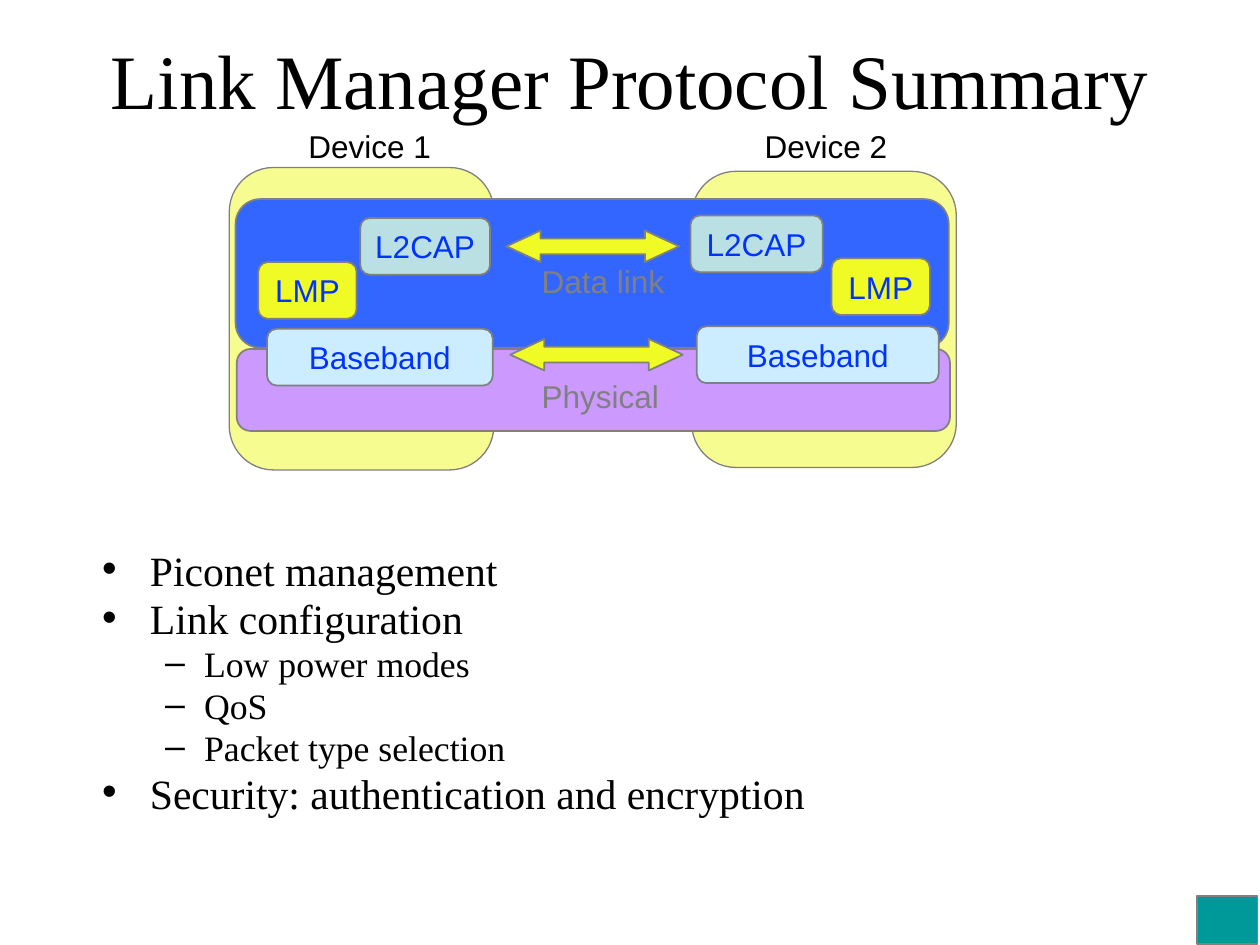
import pptx
import pptx.util
import pptx.dml.color
import pptx.enum.shapes
import pptx.enum.text
import pptx.oxml.ns
import lxml.etree

# Content; every box is left, top, width, height in grid cells
COLUMNS, ROWS = 100, 75
TITLE = "Link Manager Protocol Summary"
TITLE_BOX = (5, 0, 90, 12.5)
BODY_BOX = (7.1, 43.4, 83.1, 21.1)
BULLETS = [
    (0, "Piconet management"),
    (0, "Link configuration"),
    (1, "Low power modes"),
    (1, "QoS"),
    (1, "Packet type selection"),
    (0, "Security: authentication and encryption"),
]
# Per level: bullet, size, space before, left margin, hanging indent
LEVELS = [("•", 23.8, 7, 3.8, 3.8), ("–", 20.4, 6, 8.1, 3.1)]

YELLOW, GREY, BLUE, BLACK = "F0FA24", "808080", "0033FF", "000000"
DEVICES = [(54.9, 13.6, 21, 23.5), (18.2, 13.3, 21, 24)]
LAYERS = [("CC99FF", (18.8, 27.7, 56.6, 6.5)),
          ("3366FF", (18.7, 15.8, 56.6, 11.8))]
BLOCK_HEIGHT = 4.5
BLOCKS = [  # text, fill, left, top, width
    ("Baseband", "CCECFF", 21.2, 26.1, 17.9),
    ("Baseband", "CCECFF", 55.3, 25.9, 19.2),
    ("L2CAP", "BBE0E3", 54.8, 17.1, 10.5),
    ("L2CAP", "BBE0E3", 28.6, 17.3, 10.3),
    ("LMP", YELLOW, 66, 20.5, 7.8),
    ("LMP", YELLOW, 20.5, 20.8, 7.8),
]
ARROWS = [(40.5, 26.9, 13.7, 2.5), (40.2, 18.3, 13.7, 2.5)]
LABELS = [
    ("Physical", GREY, (42, 29.4, 11.3, 4)),
    ("Data link", GREY, (42, 20.3, 11.7, 4)),
    ("Device 2", BLACK, (59.7, 9.6, 11.7, 4)),
    ("Device 1", BLACK, (23.5, 9.6, 11.7, 4)),
]
CORNER_BOX = (95, 71.1, 4.8, 3.8)

SHAPES = pptx.enum.shapes.MSO_SHAPE
ALIGN = pptx.enum.text.PP_ALIGN
ANCHOR = pptx.enum.text.MSO_ANCHOR

presentation = pptx.Presentation()
presentation.slide_width = pptx.util.Inches(10)
presentation.slide_height = pptx.util.Inches(7.5)
CELL_WIDTH = presentation.slide_width / COLUMNS
CELL_HEIGHT = presentation.slide_height / ROWS


def color(value):
    return pptx.dml.color.RGBColor.from_string(value)


def place(box):
    left, top, width, height = box
    return [round(left * CELL_WIDTH), round(top * CELL_HEIGHT),
            round(width * CELL_WIDTH), round(height * CELL_HEIGHT)]


def move(shape, box):
    shape.left, shape.top, shape.width, shape.height = place(box)


def write(paragraph, text, size=18, font="Arial", ink=BLACK, align=ALIGN.LEFT):
    paragraph.text = text
    paragraph.alignment = align
    paragraph.font.size = pptx.util.Pt(size)
    paragraph.font.name = font
    paragraph.font.color.rgb = color(ink)


def add_shape(slide, kind, box, fill, line_width=1, adjustments=(), opacity=None):
    shape = slide.shapes.add_shape(kind, *place(box))
    shape.shadow.inherit = False
    for index, value in enumerate(adjustments):
        shape.adjustments[index] = value
    shape.fill.solid()
    shape.fill.fore_color.rgb = color(fill)
    shape.line.color.rgb = color(GREY)
    shape.line.width = pptx.util.Pt(line_width)
    if opacity is not None:
        solid = shape.fill._xPr.find(pptx.oxml.ns.qn("a:solidFill"))
        alpha = lxml.etree.SubElement(solid[0], pptx.oxml.ns.qn("a:alpha"))
        alpha.set("val", str(opacity * 1000))
    return shape


def add_rounded(slide, box, fill, **options):
    return add_shape(slide, SHAPES.ROUNDED_RECTANGLE, box, fill,
                     adjustments=(0.167,), **options)


def set_bullet(paragraph, character, margin, hanging):
    properties = paragraph._p.get_or_add_pPr()
    properties.set("marL", str(round(margin * CELL_WIDTH)))
    properties.set("indent", str(-round(hanging * CELL_WIDTH)))
    bullet = lxml.etree.SubElement(properties, pptx.oxml.ns.qn("a:buChar"))
    bullet.set("char", character)


slide = presentation.slides.add_slide(presentation.slide_layouts[1])

# Title
title = slide.shapes.title
move(title, TITLE_BOX)
title.text_frame.auto_size = pptx.enum.text.MSO_AUTO_SIZE.NONE
title.text_frame.vertical_anchor = ANCHOR.MIDDLE
write(title.text_frame.paragraphs[0], TITLE, size=44,
      font="Times New Roman", align=ALIGN.CENTER)

# Bulleted summary
body = slide.placeholders[1]
move(body, BODY_BOX)
frame = body.text_frame
frame.auto_size = pptx.enum.text.MSO_AUTO_SIZE.NONE
frame.margin_top = pptx.util.Inches(0.08)
for index, (level, text) in enumerate(BULLETS):
    paragraph = frame.add_paragraph() if index else frame.paragraphs[0]
    character, size, space, margin, hanging = LEVELS[level]
    set_bullet(paragraph, character, margin, hanging)
    paragraph.level = level
    paragraph.line_spacing = 0.73
    paragraph.space_before = pptx.util.Pt(space if index else 0)
    write(paragraph, text, size=size, font="Times New Roman")

# Devices and the layers that span them
for box in DEVICES:
    add_rounded(slide, box, YELLOW, line_width=0.75, opacity=50)
for fill, box in LAYERS:
    add_rounded(slide, box, fill)

# Protocol blocks
for text, fill, left, top, width in BLOCKS:
    block = add_rounded(slide, (left, top, width, BLOCK_HEIGHT), fill)
    block.text_frame.word_wrap = False
    block.text_frame.vertical_anchor = ANCHOR.MIDDLE
    write(block.text_frame.paragraphs[0], text, ink=BLUE, align=ALIGN.CENTER)

# Arrows between the devices
for box in ARROWS:
    add_shape(slide, SHAPES.LEFT_RIGHT_ARROW, box, YELLOW, adjustments=(0.5, 1.08))

# Labels
for text, ink, box in LABELS:
    label = slide.shapes.add_textbox(*place(box))
    label.text_frame.word_wrap = False
    write(label.text_frame.paragraphs[0], text, ink=ink)

# Corner box
add_shape(slide, SHAPES.RECTANGLE, CORNER_BOX, "009999")

presentation.save("out.pptx")
